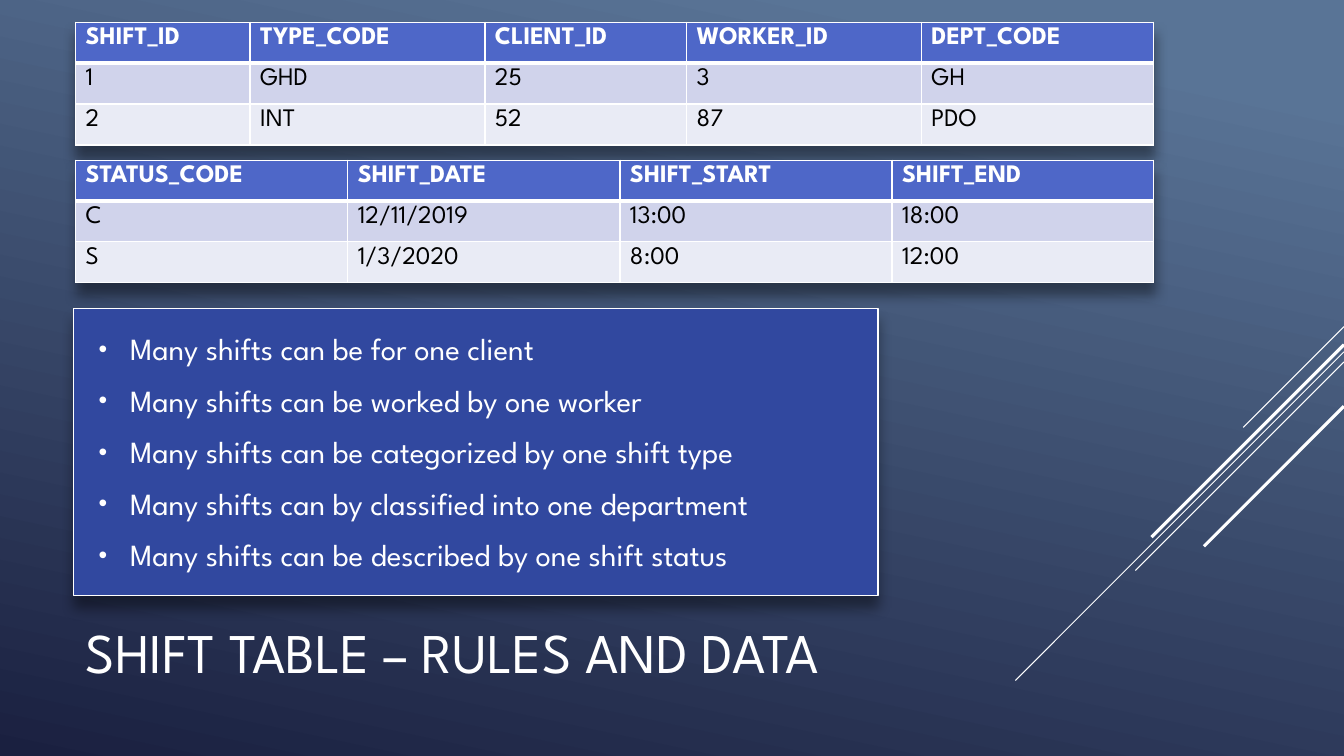
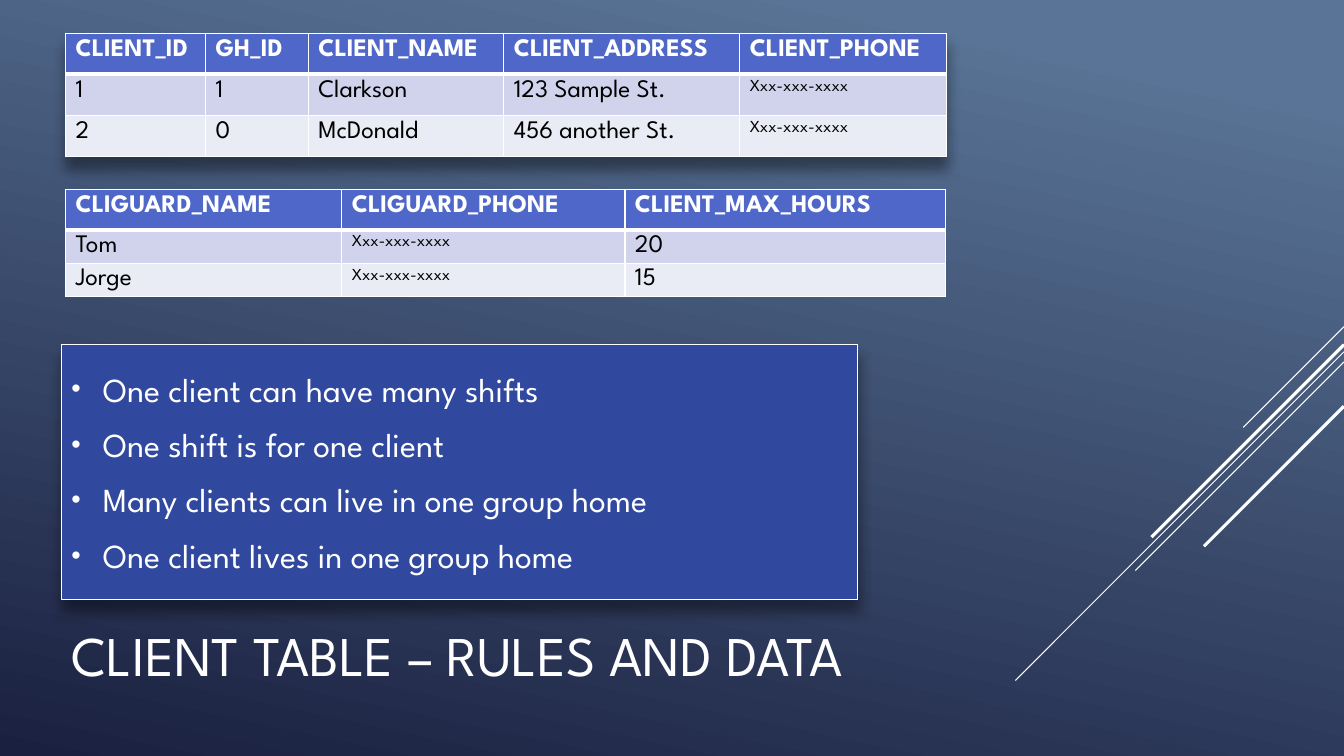
from pptx import Presentation
from pptx import util as u
from pptx.dml.color import RGBColor
from pptx.enum import shapes, text
from pptx.oxml import parse_xml
from pptx.oxml.ns import nsdecls

Pt = u.Pt
FONT = "League Spartan"
COLORS = {
    "sky": "597496", "night": "1A2040", "panel": "31489F", "header": "4E67C8",
    "odd": "D0D3EB", "even": "E9EBF5", "white": "FFFFFF", "black": "000000",
}
RGB = {name: RGBColor.from_string(value) for name, value in COLORS.items()}

RIGHT_EDGE = 960
# Diagonals at 45 degrees: height at the right edge, extent, width
DIAGONALS = [(233.3, 72, 0.75), (251.3, 234.7, 0.75), (258.5, 149, 0.75),
             (246.2, 137.5, 2.25), (290.2, 100, 2.25)]
PHONE = "Xxx-xxx-xxxx"

SLIDES = [
    {
        "title": "SHIFT TABLE – RULES AND DATA",
        "title_at": (54, 405.4, 671.8, 118.8),
        "panel_at": (52.6, 220.3, 574.6, 205.2),
        "rules_at": (63.4, 230.4, 593.3, 184.3),
        "rules_size": 22,
        "rules": ["Many shifts can be for one client",
                  "Many shifts can be worked by one worker",
                  "Many shifts can be categorized by one shift type",
                  "Many shifts can by classified into one department",
                  "Many shifts can be described by one shift status"],
        "tables": [
            {"at": (54, 15.8), "shadow": True,
             "cols": [124.6, 167.8, 144, 167.8, 165.6], "rows": [29.3] * 3,
             "data": [["SHIFT_ID", "TYPE_CODE", "CLIENT_ID", "WORKER_ID", "DEPT_CODE"],
                      ["1", "GHD", "25", "3", "GH"],
                      ["2", "INT", "52", "87", "PDO"]]},
            {"at": (54, 114.5), "shadow": True,
             "cols": [194.4, 194.4, 194.4, 186.6], "rows": [29.3, 28.8, 29.3],
             "data": [["STATUS_CODE", "SHIFT_DATE", "SHIFT_START", "SHIFT_END"],
                      ["C", "12/11/2019", "13:00", "18:00"],
                      ["S", "1/3/2020", "8:00", "12:00"]]},
        ],
    },
    {
        "title": "CLIENT TABLE – RULES AND DATA",
        "title_at": (43.9, 407.5, 671.8, 118.8),
        "panel_at": (43.9, 246.2, 568.8, 182.2),
        "rules_at": (43.9, 234, 671.8, 205.9),
        "rules_size": 24,
        "rules": ["One client can have many shifts",
                  "One shift is for one client",
                  "Many clients can live in one group home",
                  "One client lives in one group home"],
        "tables": [
            {"at": (46.8, 23.8), "shadow": True,
             "cols": [100, 73.4, 139.7, 168.5, 147.6], "rows": [29.3] * 3,
             "data": [["CLIENT_ID", "GH_ID", "CLIENT_NAME", "CLIENT_ADDRESS", "CLIENT_PHONE"],
                      ["1", "1", "Clarkson", "123 Sample St.", PHONE],
                      ["2", "0", "McDonald", "456 another St.", PHONE]]},
            {"at": (46.8, 135.4), "shadow": False,
             "cols": [197.3, 202.3, 229], "rows": [28.8, 23.8, 23.8],
             "data": [["CLIGUARD_NAME", "CLIGUARD_PHONE", "CLIENT_MAX_HOURS"],
                      ["Tom", PHONE, "20"],
                      ["Jorge", PHONE, "15"]]},
        ],
    },
]


def write(p, words, size=18, color="white", bold=False):
    r = p.add_run()
    r.text = words
    r.font.name = FONT
    r.font.size = Pt(size)
    r.font.bold = bold
    r.font.color.rgb = RGB[color]


def effects(shadow=True):
    outer = (f'<a:outerShdw blurRad="{Pt(9)}" dist="{Pt(8)}" dir="5400000" rotWithShape="0">'
             f'<a:srgbClr val="{COLORS["black"]}"><a:alpha val="40000"/></a:srgbClr>'
             '</a:outerShdw>') if shadow else ""
    return parse_xml(f'<a:effectLst {nsdecls("a")}>{outer}</a:effectLst>')


prs = Presentation()
prs.slide_width, prs.slide_height = Pt(RIGHT_EDGE), Pt(540)

# Shared background
fill = prs.slide_master.background.fill
fill.gradient()
fill.gradient_angle = 258
for stop, position, name in zip(fill.gradient_stops, (0.1, 1), ("sky", "night")):
    stop.position = position
    stop.color.rgb = RGB[name]

for content in SLIDES:
    s = prs.slides.add_slide(prs.slide_layouts[5])

    # Diagonal lines
    for top, extent, width in DIAGONALS:
        line = s.shapes.add_connector(
            shapes.MSO_CONNECTOR.STRAIGHT, Pt(RIGHT_EDGE), Pt(top),
            Pt(RIGHT_EDGE - extent), Pt(top + extent))
        line.line.color.rgb = RGB["white"]
        line.line.width = Pt(width)
        line._element.spPr.append(effects(shadow=False))

    # Panel behind the rules
    sp = s.shapes.add_shape(shapes.MSO_SHAPE.RECTANGLE, *map(Pt, content["panel_at"]))
    sp.fill.solid()
    sp.fill.fore_color.rgb = RGB["panel"]
    sp.line.color.rgb = RGB["white"]
    sp.line.width = Pt(1)
    sp._element.spPr.append(effects())

    # Title
    title = s.shapes.title
    title.left, title.top, title.width, title.height = map(Pt, content["title_at"])
    tf = title.text_frame
    tf.auto_size = text.MSO_AUTO_SIZE.NONE
    tf.vertical_anchor = text.MSO_ANCHOR.MIDDLE
    p = tf.paragraphs[0]
    p.alignment = text.PP_ALIGN.LEFT
    write(p, content["title"], size=40)

    # Data tables
    for block in content["tables"]:
        cols, rows, data = block["cols"], block["rows"], block["data"]
        table = s.shapes.add_table(
            len(rows), len(cols), *map(Pt, block["at"]), Pt(sum(cols)), Pt(sum(rows))).table
        if block["shadow"]:
            table._tbl.tblPr.insert(0, effects())
        for col, width in zip(table.columns, cols):
            col.width = Pt(width)
        for i, (row, height) in enumerate(zip(table.rows, rows)):
            row.height = Pt(height)
            borders = {"lnL": 1, "lnR": 1, "lnT": 3 if i == 1 else 1, "lnB": 3 if i == 0 else 1}
            for cell, words in zip(row.cells, data[i]):
                cell.fill.solid()
                cell.fill.fore_color.rgb = RGB[("header", "odd", "even")[i]]
                tcPr = cell._tc.get_or_add_tcPr()
                for k, (side, width) in enumerate(borders.items()):
                    tcPr.insert(k, parse_xml(
                        f'<a:{side} {nsdecls("a")} w="{Pt(width)}"><a:solidFill>'
                        f'<a:srgbClr val="{COLORS["white"]}"/></a:solidFill></a:{side}>'))
                write(cell.text_frame.paragraphs[0], words,
                      size=12 if words == PHONE else 18,
                      color="black" if i else "white", bold=i == 0)

    # Bulleted rules
    tf = s.shapes.add_textbox(*map(Pt, content["rules_at"])).text_frame
    tf.word_wrap = True
    tf.vertical_anchor = text.MSO_ANCHOR.MIDDLE
    size = content["rules_size"]
    for i, rule in enumerate(content["rules"]):
        p = tf.add_paragraph() if i else tf.paragraphs[0]
        p.space_before = Pt(0.2 * size if i else 0)
        p.space_after = Pt(6)
        pPr = p._p.get_or_add_pPr()
        pPr.set("marL", str(Pt(22.5)))
        pPr.set("indent", str(Pt(-22.5)))
        for bullet in (f'<a:buClr {nsdecls("a")}><a:srgbClr val="{COLORS["white"]}"/></a:buClr>',
                       f'<a:buSzPct {nsdecls("a")} val="80000"/>',
                       f'<a:buFont {nsdecls("a")} typeface="Arial"/>',
                       f'<a:buChar {nsdecls("a")} char="•"/>'):
            pPr.append(parse_xml(bullet))
        write(p, rule, size=size)

prs.save("out.pptx")
